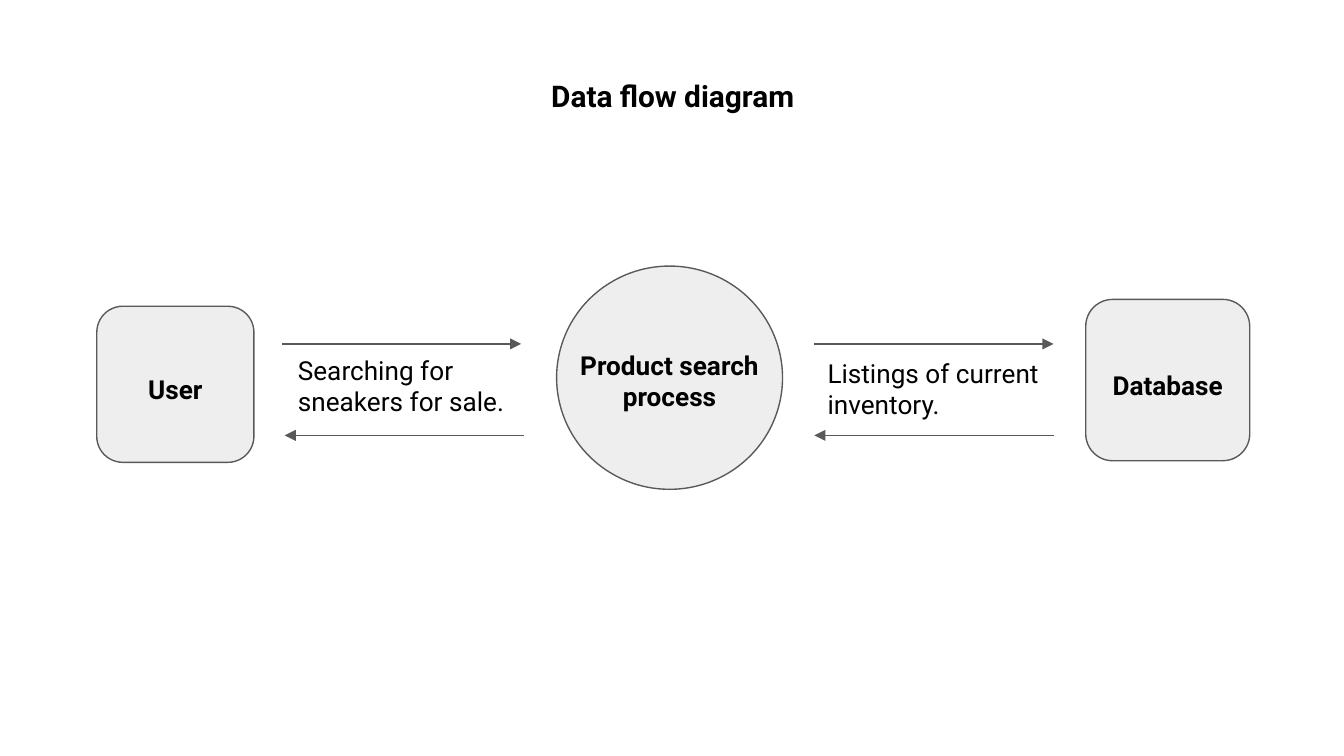
from typing import NamedTuple

from lxml.etree import SubElement
from pptx import Presentation
from pptx.dml.color import RGBColor
from pptx.enum.shapes import MSO_CONNECTOR, MSO_SHAPE
from pptx.enum.text import MSO_ANCHOR, PP_ALIGN
from pptx.oxml.ns import qn
from pptx.shapes.shapetree import SlideShapes
from pptx.text.text import TextFrame
from pptx.util import Cm, Pt

BLACK = RGBColor(0x00, 0x00, 0x00)
LIGHT_GRAY = RGBColor(0xEE, 0xEE, 0xEE)
DARK_GRAY = RGBColor(0x59, 0x59, 0x59)
FONT = "Roboto"
LINE_WIDTH = Pt(0.75)
INSET = Cm(0.25)
ARROW_LENGTH = 4.52


class Node(NamedTuple):
    text: str
    kind: MSO_SHAPE
    left: float
    top: float
    width: float
    height: float
    label_top: float
    label_height: float = 1.09
    grouped: bool = True


class Arrow(NamedTuple):
    left: float
    top: float
    leftward: bool


class Caption(NamedTuple):
    text: str
    left: float
    top: float
    width: float


NODES = [
    Node("User", MSO_SHAPE.FLOWCHART_ALTERNATE_PROCESS, 1.83, 5.79, 2.97, 2.95, 6.81),
    Node("Database", MSO_SHAPE.FLOWCHART_ALTERNATE_PROCESS, 20.52, 5.66, 3.1, 3.05, 6.73),
    Node("Product search\nprocess", MSO_SHAPE.OVAL, 10.52, 5.03, 4.27, 4.22, 6.35, 2.29, False),
]
ARROWS = [
    Arrow(5.33, 6.5, False),
    Arrow(15.39, 6.5, False),
    Arrow(5.38, 8.23, True),
    Arrow(15.39, 8.23, True),
]
CAPTIONS = [
    Caption("Searching for sneakers for sale.", 5.38, 6.45, 4.52),
    Caption("Listings of current inventory.", 15.39, 6.5, 5.13),
]


def write_text(frame: TextFrame, text: str, size: int, bold: bool, alignment: PP_ALIGN) -> None:
    frame.word_wrap = True
    frame.vertical_anchor = MSO_ANCHOR.TOP
    frame.margin_left = frame.margin_right = INSET
    frame.margin_top = frame.margin_bottom = INSET
    frame.text = text
    for paragraph in frame.paragraphs:
        paragraph.alignment = alignment
        paragraph.space_before = Pt(0)
        paragraph.font.name = FONT
        paragraph.font.size = Pt(size)
        paragraph.font.bold = bold
        paragraph.font.color.rgb = BLACK


def draw_node(shapes: SlideShapes, node: Node) -> None:
    parent = shapes.add_group_shape().shapes if node.grouped else shapes
    left, width = Cm(node.left), Cm(node.width)
    shape = parent.add_shape(node.kind, left, Cm(node.top), width, Cm(node.height))
    shape.shadow.inherit = False
    shape.fill.solid()
    shape.fill.fore_color.rgb = LIGHT_GRAY
    shape.line.color.rgb = DARK_GRAY
    shape.line.width = LINE_WIDTH
    label = parent.add_textbox(left, Cm(node.label_top), width, Cm(node.label_height))
    write_text(label.text_frame, node.text, 14, True, PP_ALIGN.CENTER)


def draw_arrow(shapes: SlideShapes, arrow: Arrow) -> None:
    start, end = arrow.left, arrow.left + ARROW_LENGTH
    if arrow.leftward:
        start, end = end, start
    connector = shapes.add_connector(
        MSO_CONNECTOR.STRAIGHT, Cm(start), Cm(arrow.top), Cm(end), Cm(arrow.top)
    )
    connector.line.color.rgb = DARK_GRAY
    connector.line.width = LINE_WIDTH
    SubElement(connector.line._get_or_add_ln(), qn("a:tailEnd"), type="triangle")
    SubElement(connector._element.spPr, qn("a:effectLst"))


def draw_caption(shapes: SlideShapes, caption: Caption) -> None:
    box = shapes.add_textbox(Cm(caption.left), Cm(caption.top), Cm(caption.width), Cm(1.7))
    write_text(box.text_frame, caption.text, 14, False, PP_ALIGN.LEFT)


def main() -> None:
    presentation = Presentation()
    presentation.slide_width, presentation.slide_height = Cm(25.4), Cm(14.29)
    slide = presentation.slides.add_slide(presentation.slide_layouts.get_by_name("Title Only"))

    title = slide.shapes.title
    title.left, title.top, title.width, title.height = Cm(3.94), Cm(1.22), Cm(17.55), Cm(1.19)
    write_text(title.text_frame, "Data flow diagram", 16, True, PP_ALIGN.CENTER)

    for node in NODES:
        draw_node(slide.shapes, node)
    for arrow in ARROWS:
        draw_arrow(slide.shapes, arrow)
    for caption in CAPTIONS:
        draw_caption(slide.shapes, caption)

    presentation.save("out.pptx")


if __name__ == "__main__":
    main()
